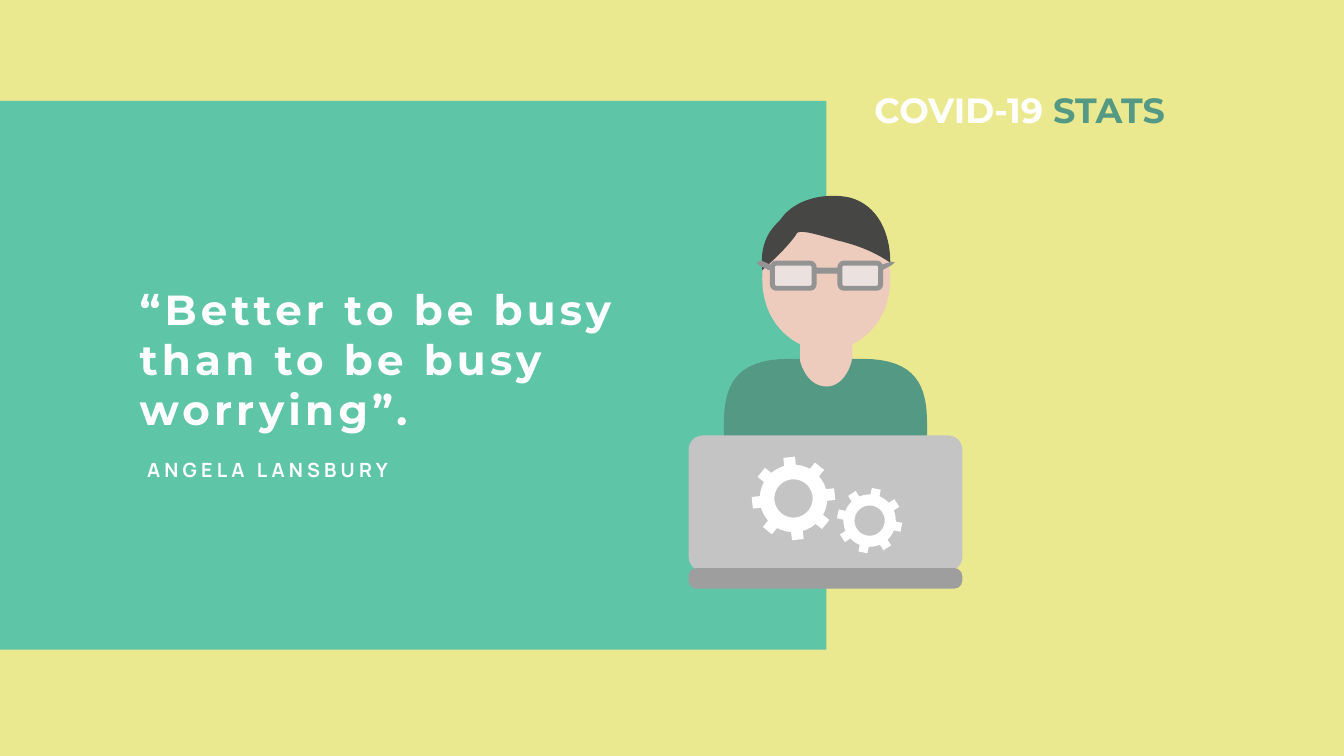
from math import cos, radians, sin

from pptx import Presentation
from pptx.dml.color import RGBColor
from pptx.enum import shapes, text
from pptx.util import Cm, Pt

COLORS = {
    "sand": "EBE990", "mint": "5FC5A7", "green": "549983", "white": "FFFFFF",
    "skin": "EDCCBE", "hair": "464745", "lens": "EBE1DF", "frame": "939393",
    "lid": "C4C4C4", "base": "9E9E9E",
}

# Places are in inches: left, top, width, height
PAGE = (26.66, 15)
PANELS = [((0, 0, *PAGE), "sand"), ((0, 2, 16.39, 10.89), "mint")]
LAPTOP = [((13.66, 8.64, 5.43, 2.69), "lid", 0.28),
          ((13.66, 11.27, 5.43, 0.41), "base", 0.16)]
LENSES = [(15.32, 5.22, 0.83, 0.5), (16.66, 5.22, 0.81, 0.5)]
BRIDGE = (16.15, 5.31, 0.5, 0.12)

# Outlines: a pair is a straight step, six numbers are a Bezier curve
FACE = [(17.66, 5.53), (17.66, 4.74, 17.16, 4.14, 16.41, 4.14),
        (15.62, 4.14, 15.12, 4.74, 15.12, 5.53),
        (15.12, 6.08, 15.37, 6.58, 15.87, 6.83), (15.87, 8.26),
        (15.87, 8.56, 16.12, 8.81, 16.41, 8.81),
        (16.66, 8.81, 16.91, 8.56, 16.91, 8.26), (16.91, 6.83),
        (17.41, 6.58, 17.66, 6.08, 17.66, 5.53)]
SHIRT = [(17.1, 7.12), (16.9, 7.12),
         (16.9, 7.22, 16.75, 7.67, 16.4, 7.67),
         (15.96, 7.67, 15.86, 7.12, 15.86, 7.12), (15.66, 7.12),
         (14.57, 7.12, 14.36, 7.67, 14.36, 8.41), (14.36, 10.1),
         (14.36, 10.3, 14.52, 10.45, 14.71, 10.45), (18.04, 10.45),
         (18.24, 10.45, 18.39, 10.3, 18.39, 10.1), (18.39, 8.41),
         (18.39, 7.67, 18.19, 7.12, 17.1, 7.12)]
HAIR = [(16.86, 3.92), (16.41, 3.82, 15.77, 3.92, 15.47, 4.37),
        (15.32, 4.52, 15.06, 4.77, 15.12, 5.36),
        (15.52, 5.01, 15.77, 4.71, 15.81, 4.62),
        (15.91, 4.57, 16.11, 4.62, 16.61, 4.77),
        (17.21, 4.91, 17.5, 5.11, 17.66, 5.21),
        (17.66, 4.62, 17.41, 4.07, 16.86, 3.92)]
TEMPLES = [[(15.3, 5.36), (15.25, 5.36), (15.05, 5.26), (15.01, 5.21),
            (15.1, 5.17), (15.3, 5.26)],
           [(17.5, 5.36), (17.69, 5.26), (17.75, 5.21), (17.69, 5.19),
            (17.46, 5.26), (17.46, 5.31)]]
# Centre, tip radius, root radius, hole radius, turn in degrees
GEARS = [((15.74, 9.89), 0.83, 0.67, 0.38, -6),
         ((17.25, 10.33), 0.65, 0.52, 0.3, 12)]
TEETH = 8

TEXTS = [
    {"at": (2.67, 5.57, 11.24, 3.13), "wrap": True, "align": "LEFT",
     "font": {"name": "Montserrat", "size": Pt(60), "bold": True}, "spacing": 6,
     "spans": [("“Better to be busy than to be busy worrying”.", "white")]},
    {"at": (2.82, 9.03, 7.19, 0.57), "wrap": True, "align": "LEFT",
     "font": {"name": "Manrope", "size": Pt(28), "bold": True}, "spacing": 6,
     "spans": [("ANGELA LANSBURY", "white")]},
    {"at": (17.08, 1.7, 6.13, 0.94), "wrap": False, "align": "RIGHT",
     "font": {"name": "Montserrat", "size": Pt(50), "bold": True}, "spacing": 0,
     "spans": [("COVID-19 ", "white"), ("STATS", "green")]},
]


def inches(values):
    return [Cm(value * 2.54) for value in values]


def rgb(name):
    return RGBColor.from_string(COLORS[name])


def paint(shape, fill, line=None, line_width=0):
    shape.shadow.inherit = False
    shape.fill.solid()
    shape.fill.fore_color.rgb = rgb(fill)
    if line:
        shape.line.color.rgb = rgb(line)
        shape.line.width = Pt(line_width)
    else:
        shape.line.fill.background()


def add_box(page, at, fill, corner=0, **line):
    """Add a rectangle, rounded when a corner radius is given."""
    kind = "ROUNDED_RECTANGLE" if corner else "RECTANGLE"
    box = page.shapes.add_shape(getattr(shapes.MSO_SHAPE, kind), *inches(at))
    if corner:
        box.adjustments[0] = corner / min(at[2:])
    paint(box, fill, **line)


def flatten(outline, steps=16):
    """Turn straight steps and Bezier curves into a list of points."""
    points = []
    for step in outline:
        if len(step) == 2:
            points.append(step)
            continue
        controls = [points[-1], step[:2], step[2:4], step[4:]]
        for i in range(1, steps + 1):
            t = i / steps
            weights = ((1 - t) ** 3, 3 * t * (1 - t) ** 2, 3 * t * t * (1 - t), t ** 3)
            points.append(tuple(sum(w * p[axis] for w, p in zip(weights, controls))
                                for axis in (0, 1)))
    return points


def add_outline(page, contours, fill):
    """Add one freeform; contours after the first cut holes."""
    contours = [[inches(point) for point in contour] for contour in contours]
    builder = page.shapes.build_freeform(*contours[0][0])
    builder.add_line_segments(contours[0][1:])
    for hole in contours[1:]:
        builder.move_to(*hole[0])
        builder.add_line_segments(hole[1:])
    paint(builder.convert_to_shape(), fill)


def gear_contours(center, tip, root, hole, turn):
    def polar(radius, degrees):
        angle = radians(degrees)
        return center[0] + radius * cos(angle), center[1] + radius * sin(angle)

    pitch = 360 / TEETH
    profile = [(root, -10), (tip, -8), (tip, 8), (root, 10), (root, 18), (root, 27)]
    rim = [polar(radius, turn + tooth * pitch + offset)
           for tooth in range(TEETH) for radius, offset in profile]
    return [rim, [polar(hole, degrees) for degrees in range(360, 0, -10)]]


def add_text(page, item):
    box = page.shapes.add_textbox(*inches(item["at"]))
    box.text_frame.word_wrap = item["wrap"]
    para = box.text_frame.paragraphs[0]
    para.alignment = getattr(text.PP_ALIGN, item["align"])
    for words, color in item["spans"]:
        span = para.add_run()
        span.text = words
        for key, value in item["font"].items():
            setattr(span.font, key, value)
        span.font.color.rgb = rgb(color)
        if item["spacing"]:
            span.font._element.set("spc", str(item["spacing"] * 100))


def main():
    deck = Presentation()
    deck.slide_width, deck.slide_height = inches(PAGE)
    page = deck.slides.add_slide(deck.slide_layouts[6])

    for at, fill in PANELS:
        add_box(page, at, fill)
    for outline, fill in [(FACE, "skin"), (SHIRT, "green"), (HAIR, "hair")]:
        add_outline(page, [flatten(outline)], fill)
    for at in LENSES:
        add_box(page, at, "lens", corner=0.08, line="frame", line_width=7)
    for temple in TEMPLES:
        add_outline(page, [temple], "frame")
    add_box(page, BRIDGE, "frame")
    for at, fill, corner in LAPTOP:
        add_box(page, at, fill, corner)
    for gear in GEARS:
        add_outline(page, gear_contours(*gear), "white")
    for item in TEXTS:
        add_text(page, item)

    deck.save("out.pptx")


if __name__ == "__main__":
    main()
